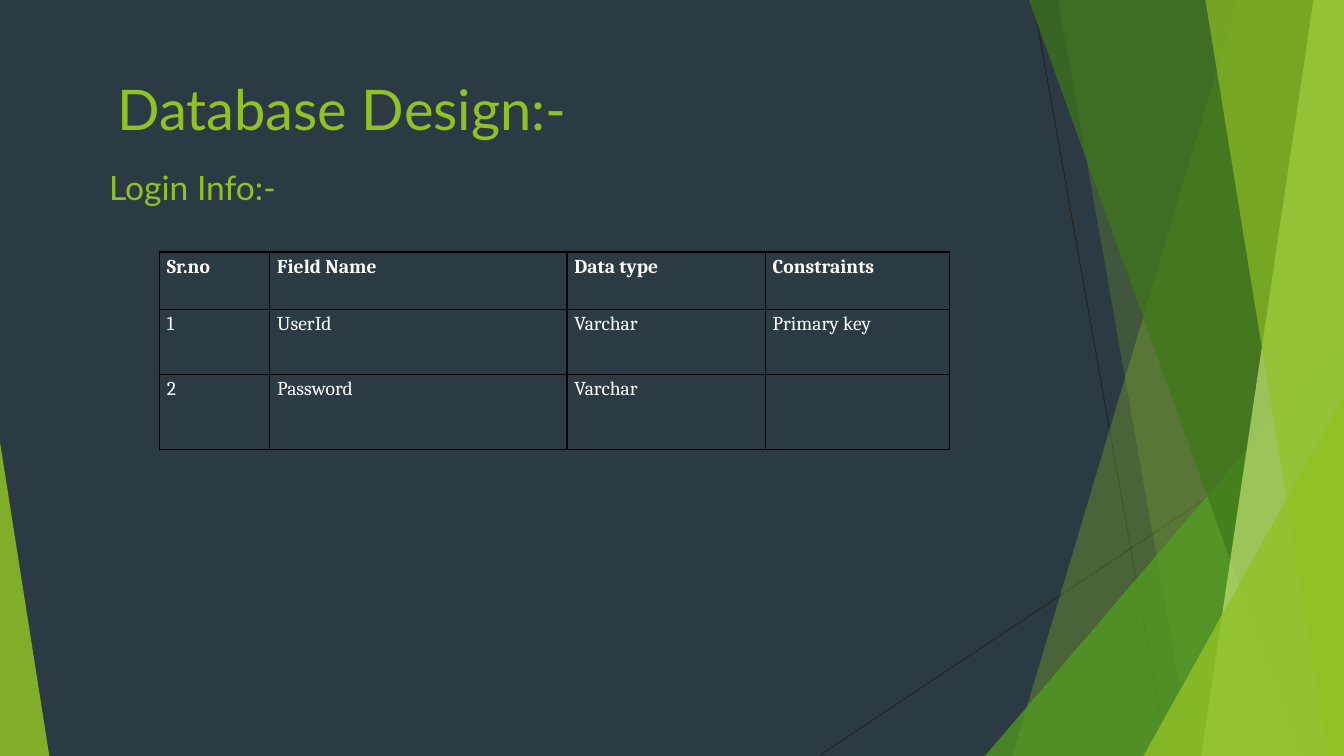
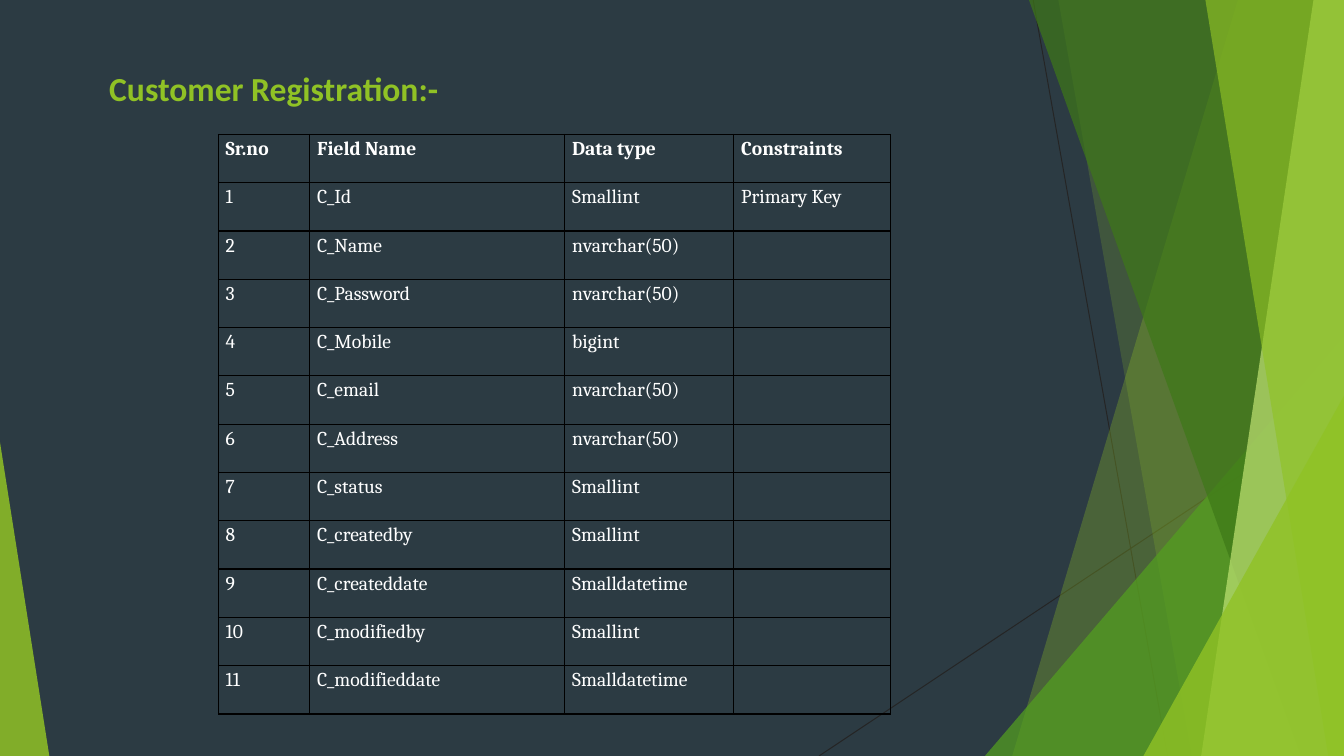
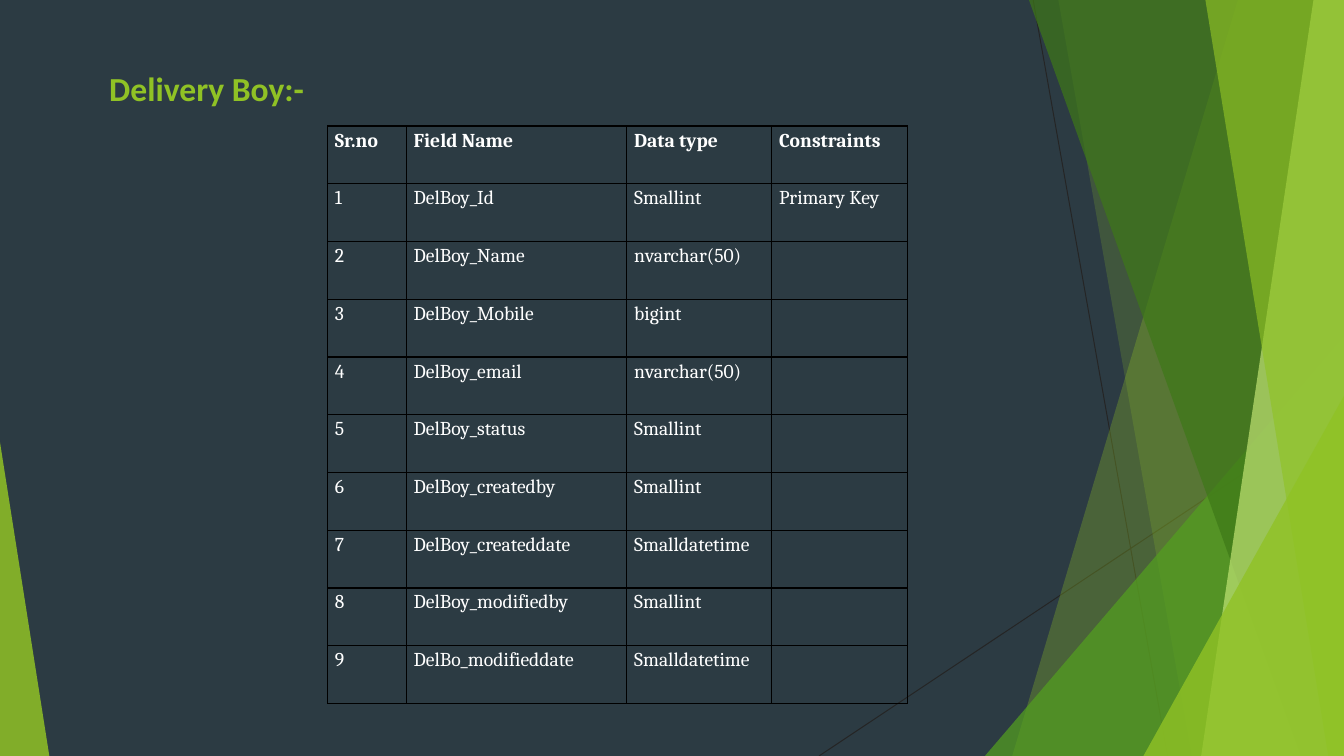
from dataclasses import dataclass

from lxml import etree
from pptx import Presentation
from pptx.dml.color import RGBColor
from pptx.enum.shapes import MSO_CONNECTOR
from pptx.enum.text import MSO_ANCHOR, MSO_AUTO_SIZE, PP_ALIGN
from pptx.oxml.ns import qn
from pptx.util import Pt

EMU_PER_PX = 9525
WIDTH, HEIGHT = 1280, 720
TITLE_ONLY = 5
STRAIGHT = MSO_CONNECTOR.STRAIGHT
TOP = MSO_ANCHOR.TOP
LEFT = PP_ALIGN.LEFT
GROW = MSO_AUTO_SIZE.SHAPE_TO_FIT_TEXT


@dataclass(frozen=True)
class Theme:
    background: str = "2C3B43"
    hairline: str = "252525"
    green: str = "90C225"
    mid_green: str = "539F20"
    dark_green: str = "3E7818"
    pale_green: str = "C0E374"
    cell_text: str = "FFFFFF"
    border: str = "000000"
    display_font: str = "Lato"
    heading_font: str = "Calibri"
    table_font: str = "Cambria"
    title_size: int = 40
    heading_size: int = 24
    table_size: int = 14
    hairline_width: float = 0.72
    border_width: int = 1


THEME = Theme()

HAIRLINES = [(984, 0, 1112, HEIGHT), (WIDTH, 387, 780, HEIGHT)]

FACETS = [
    ([(WIDTH, 0), (1179, 0), (964, HEIGHT), (WIDTH, HEIGHT)], THEME.green, 30),
    ([(WIDTH, 0), (1008, 0), (1135, HEIGHT), (WIDTH, HEIGHT)], THEME.green, 20),
    ([(WIDTH, 320), (938, HEIGHT), (WIDTH, HEIGHT)], THEME.mid_green, 72),
    ([(WIDTH, 0), (980, 0), (1239, HEIGHT), (WIDTH, HEIGHT)], THEME.dark_green, 70),
    ([(WIDTH, 0), (1251, 0), (1144, HEIGHT), (WIDTH, HEIGHT)], THEME.pale_green, 70),
    ([(WIDTH, 0), (1148, 0), (1265, HEIGHT), (WIDTH, HEIGHT)], THEME.green, 65),
    ([(WIDTH, 377), (1089, HEIGHT), (WIDTH, HEIGHT)], THEME.green, 80),
    ([(0, 421), (0, HEIGHT), (47, HEIGHT)], THEME.green, 85),
]

HEADER = ("Sr.no", "Field Name", "Data type", "Constraints")

LOGIN_FIELDS = [
    ("UserId", "Varchar", "Primary key"),
    ("Password", "Varchar", ""),
]

CUSTOMER_FIELDS = [
    ("C_Id", "Smallint", "Primary Key"),
    ("C_Name", "nvarchar(50)", ""),
    ("C_Password", "nvarchar(50)", ""),
    ("C_Mobile", "bigint", ""),
    ("C_email", "nvarchar(50)", ""),
    ("C_Address", "nvarchar(50)", ""),
    ("C_status", "Smallint", ""),
    ("C_createdby", "Smallint", ""),
    ("C_createddate", "Smalldatetime", ""),
    ("C_modifiedby", "Smallint", ""),
    ("C_modifieddate", "Smalldatetime", ""),
]

DELIVERY_FIELDS = [
    ("DelBoy_Id", "Smallint", "Primary Key"),
    ("DelBoy_Name", "nvarchar(50)", ""),
    ("DelBoy_Mobile", "bigint", ""),
    ("DelBoy_email", "nvarchar(50)", ""),
    ("DelBoy_status", "Smallint", ""),
    ("DelBoy_createdby", "Smallint", ""),
    ("DelBoy_createddate", "Smalldatetime", ""),
    ("DelBoy_modifiedby", "Smallint", ""),
    ("DelBo_modifieddate", "Smalldatetime", ""),
]


def px(length):
    return length * EMU_PER_PX


def color(value):
    return RGBColor.from_string(value)


def format_paragraph(paragraph, font_name, size, value, bold):
    font = paragraph.font
    font.name = font_name
    font.size = Pt(size)
    font.bold = bold
    font.color.rgb = color(value)
    paragraph.alignment = LEFT


def draw_hairline(slide, ends):
    line = slide.shapes.add_connector(STRAIGHT, *map(px, ends))
    line.line.color.rgb = color(THEME.hairline)
    line.line.width = Pt(THEME.hairline_width)
    etree.SubElement(line._element.spPr, qn("a:effectLst"))
    return line


def draw_facet(slide, points, value, opacity):
    builder = slide.shapes.build_freeform(*points[0], scale=EMU_PER_PX)
    builder.add_line_segments(points[1:], close=True)
    facet = builder.convert_to_shape()
    facet.shadow.inherit = False
    facet.line.fill.background()
    facet.fill.solid()
    facet.fill.fore_color.rgb = color(value)
    fill_color = facet._element.spPr.find(f"{qn('a:solidFill')}/{qn('a:srgbClr')}")
    etree.SubElement(fill_color, qn("a:alpha"), val=str(opacity * 1000))
    return facet


def set_backdrop(slide, layout):
    background = layout.slide_master.background.fill
    background.solid()
    background.fore_color.rgb = color(THEME.background)
    shapes = [draw_hairline(slide, ends) for ends in HAIRLINES]
    shapes += [draw_facet(slide, *facet) for facet in FACETS]
    tree = layout.shapes._spTree
    for order, shape in enumerate(shapes):
        shape._element.xpath(".//p:cNvPr")[0].set("id", str(100 + order))
        tree.insert(2 + order, shape._element)


def set_heading(shape, text, box, font_name, size, bold=False):
    shape.left, shape.top, shape.width, shape.height = map(px, box)
    frame = shape.text_frame
    frame.margin_left = frame.margin_top = frame.margin_right = frame.margin_bottom = 0
    frame.word_wrap = True
    frame.auto_size = GROW
    frame.vertical_anchor = TOP
    frame.text = text
    format_paragraph(frame.paragraphs[0], font_name, size, THEME.green, bold)


def set_borders(cell):
    properties = cell._tc.get_or_add_tcPr()
    for side in ("lnL", "lnR", "lnT", "lnB"):
        line = etree.SubElement(properties, qn(f"a:{side}"), w=str(Pt(THEME.border_width)))
        fill = etree.SubElement(line, qn("a:solidFill"))
        etree.SubElement(fill, qn("a:srgbClr"), val=THEME.border)


def fill_cell(cell, text, bold):
    set_borders(cell)
    cell.fill.background()
    cell.margin_left = cell.margin_right = px(7)
    cell.margin_top = cell.margin_bottom = 0
    cell.text = text
    paragraph = cell.text_frame.paragraphs[0]
    paragraph.line_spacing = 1.15
    format_paragraph(paragraph, THEME.table_font, THEME.table_size, THEME.cell_text, bold)


def add_field_table(slide, left, top, columns, row_heights, fields):
    rows = [HEADER] + [(str(number), *field) for number, field in enumerate(fields, 1)]
    box = (left, top, sum(columns), sum(row_heights))
    table = slide.shapes.add_table(len(rows), len(columns), *map(px, box)).table
    table.first_row = table.horz_banding = False
    for column, width in zip(table.columns, columns):
        column.width = px(width)
    for row_index, (row, height, texts) in enumerate(zip(table.rows, row_heights, rows)):
        row.height = px(height)
        for cell, text in zip(row.cells, texts):
            fill_cell(cell, text, bold=row_index == 0)


def add_login_slide(slide):
    set_heading(slide.shapes.title, "Database Design:-", (112, 71, 456, 64),
                THEME.display_font, THEME.title_size)
    subheading = slide.shapes.add_textbox(0, 0, 0, 0)
    set_heading(subheading, "Login Info:-", (104, 159, 200, 38),
                THEME.display_font, THEME.heading_size)
    add_field_table(slide, 152, 240, (105, 283, 189, 175), (55, 62, 71), LOGIN_FIELDS)


def add_entity_slide(slide, title, left, top, columns, row_height, fields):
    set_heading(slide.shapes.title, title, (104, 65, 480, 38),
                THEME.heading_font, THEME.heading_size, bold=True)
    row_heights = [row_height] * (len(fields) + 1)
    add_field_table(slide, left, top, columns, row_heights, fields)


def main():
    presentation = Presentation()
    presentation.slide_width, presentation.slide_height = px(WIDTH), px(HEIGHT)
    layout = presentation.slide_layouts[TITLE_ONLY]
    login, customer, delivery = [presentation.slides.add_slide(layout) for _ in range(3)]
    set_backdrop(login, layout)
    add_login_slide(login)
    add_entity_slide(customer, "Customer Registration:-", 208, 128,
                     (87, 243, 161, 149), 46, CUSTOMER_FIELDS)
    add_entity_slide(delivery, "Delivery Boy:-", 312, 120,
                     (75, 210, 138, 129), 55, DELIVERY_FIELDS)
    presentation.save("out.pptx")


if __name__ == "__main__":
    main()
